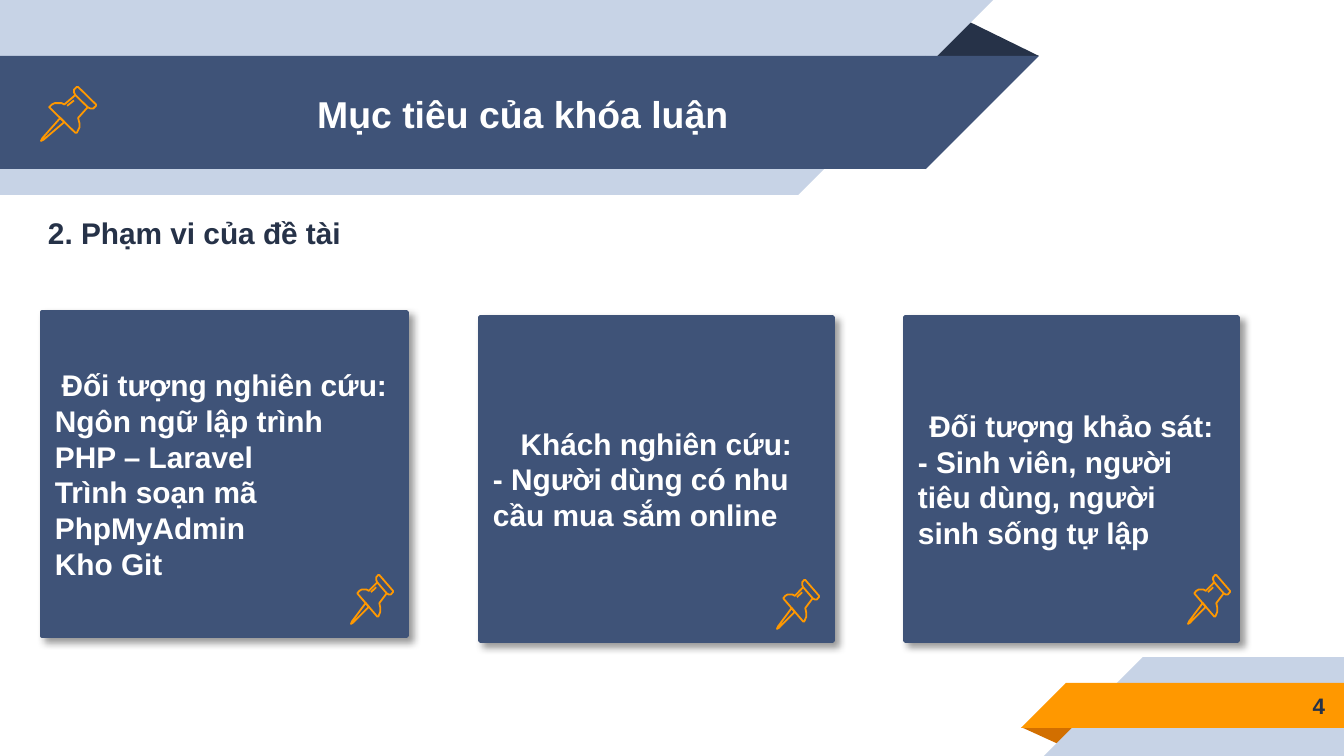
"""Builds the slide on the scope of the thesis: a ribbon title and three pinned cards."""
from lxml import etree
from pptx import Presentation
from pptx.dml.color import RGBColor
from pptx.enum.shapes import MSO_SHAPE
from pptx.enum.text import MSO_ANCHOR, PP_ALIGN
from pptx.oxml.ns import qn
from pptx.util import Emu, Pt

RECTANGLE = MSO_SHAPE.RECTANGLE
TRIANGLE = MSO_SHAPE.ISOSCELES_TRIANGLE
CORNER = MSO_SHAPE.RIGHT_TRIANGLE
MIDDLE = MSO_ANCHOR.MIDDLE
LEFT, CENTER, RIGHT = PP_ALIGN.LEFT, PP_ALIGN.CENTER, PP_ALIGN.RIGHT

WIDTH, HEIGHT = 1344, 756
PX = 9144000 / WIDTH
WHITE = RGBColor(0xFF, 0xFF, 0xFF)
NAVY = RGBColor(0x3F, 0x53, 0x78)
INK = RGBColor(0x26, 0x32, 0x48)
PALE = RGBColor(0xC7, 0xD3, 0xE6)
ORANGE = RGBColor(0xFF, 0x98, 0x00)
RUST = RGBColor(0xD2, 0x6F, 0x00)


def add_block(kind, bounds, color, rotation=0, mirrored=False):
    block = page.shapes.add_shape(kind, *[Emu(round(value * PX)) for value in bounds])
    block.shadow.inherit = False
    block.fill.solid()
    block.fill.fore_color.rgb = color
    block.line.fill.background()
    block.rotation = rotation
    if mirrored:
        block.element.spPr.xfrm.set("flipH", "1")
    if kind == TRIANGLE:
        block.adjustments[0] = 0.32
    return block


def write(box, lines, size=16, color=WHITE, first=LEFT, sides=13, ends=13):
    frame = box.text_frame
    frame.word_wrap = True
    frame.vertical_anchor = MIDDLE
    frame.margin_left = frame.margin_right = Emu(round(sides * PX))
    frame.margin_top = frame.margin_bottom = Emu(round(ends * PX))
    for index, line in enumerate(lines):
        para = frame.add_paragraph() if index else frame.paragraphs[0]
        para.alignment = LEFT if index else first
        span = para.add_run()
        span.text = line
        span.font.name = "Arial"
        span.font.size = Pt(size)
        span.font.bold = True
        span.font.color.rgb = color


deck = Presentation()
deck.slide_width, deck.slide_height = Emu(round(WIDTH * PX)), Emu(round(HEIGHT * PX))
page = deck.slides.add_slide(deck.slide_layouts[6])

add_block(TRIANGLE, (1021, 727, 58, 18), RUST, rotation=180)
for left, top, side, color in [(1044, 657, 99, PALE), (1021, 683, 45, ORANGE)]:
    add_block(RECTANGLE, (left + side, top, WIDTH - left - side, side), color)
    add_block(CORNER, (left, top, side, side), color, mirrored=True)

add_block(TRIANGLE, (925, 18, 114, 38), INK)
for width, top, side, color in [(798, 0, 195, PALE), (926, 56, 113, NAVY)]:
    add_block(RECTANGLE, (0, top, width, side), color)
    add_block(CORNER, (width, top, side, side), color, rotation=180, mirrored=True)

LABELS = [
    ((119, 57, 808, 113), "Mục tiêu của khóa luận", dict(size=20, first=CENTER)),
    ((23, 188, 655, 90), "2. Phạm vi của đề tài", dict(color=INK, sides=25)),
    ((1119, 682, 219, 47), "4", dict(size=12, color=INK, first=RIGHT)),
]
for bounds, text, style in LABELS:
    label = page.shapes.add_textbox(*[Emu(round(value * PX)) for value in bounds])
    write(label, [text], **style)

CARDS = [
    ((42, 312, 365, 324), ["Đối tượng nghiên cứu:", "Ngôn ngữ lập trình", "PHP – Laravel",
                           "Trình soạn mã", "PhpMyAdmin", "Kho Git"]),
    ((480, 317, 353, 324), ["Khách nghiên cứu:", "- Người dùng có nhu cầu mua sắm online"]),
    ((905, 317, 333, 324), ["Đối tượng khảo sát:",
                            "- Sinh viên, người tiêu dùng, người sinh sống tự lập"]),
]
for bounds, lines in CARDS:
    card = add_block(RECTANGLE, bounds, NAVY)
    card.line.color.rgb = NAVY
    card.line.width = Pt(2)
    effects = card.element.spPr.find(qn("a:effectLst"))
    shadow = etree.SubElement(effects, qn("a:outerShdw"), blurRad=str(Pt(4)), dist=str(Pt(3)),
                              dir="2700000", algn="tl", rotWithShape="0")
    shade = etree.SubElement(shadow, qn("a:srgbClr"), val="000000")
    etree.SubElement(shade, qn("a:alpha"), val="40000")
    write(card, lines, first=CENTER, ends=7)

PIN_STROKES = [
    ([(14, 23), (1, 38), (0, 40), (2, 39), (17, 26)], True),
    ([(25, 6), (34, 15), (36, 16), (38, 16), (39, 15), (40, 14), (40, 13), (27, 0),
      (26, 0), (25, 1), (24, 2), (24, 4)], True),
    ([(25, 6), (17, 13), (15, 12), (13, 12), (10, 12), (8, 13), (6, 15), (7, 16), (24, 33),
      (25, 34), (26, 34), (27, 32), (28, 30), (28, 27), (27, 23), (34, 15)], False),
    ([(19, 14), (24, 10)], False),
]
PINS = [(41, 87, 55, 54), (777, 580, 42, 49), (351, 575, 42, 49), (1188, 575, 42, 49)]
for left, top, width, height in PINS:
    pin = page.shapes.add_group_shape()
    for points, closed in PIN_STROKES:
        builder = pin.shapes.build_freeform(*points[0], scale=(width * PX / 40, height * PX / 40))
        builder.add_line_segments(points[1:], close=closed)
        stroke = builder.convert_to_shape(Emu(round(left * PX)), Emu(round(top * PX)))
        stroke.shadow.inherit = False
        stroke.fill.background()
        stroke.line.color.rgb = ORANGE
        stroke.line.width = Pt(0.96)

deck.save("out.pptx")
